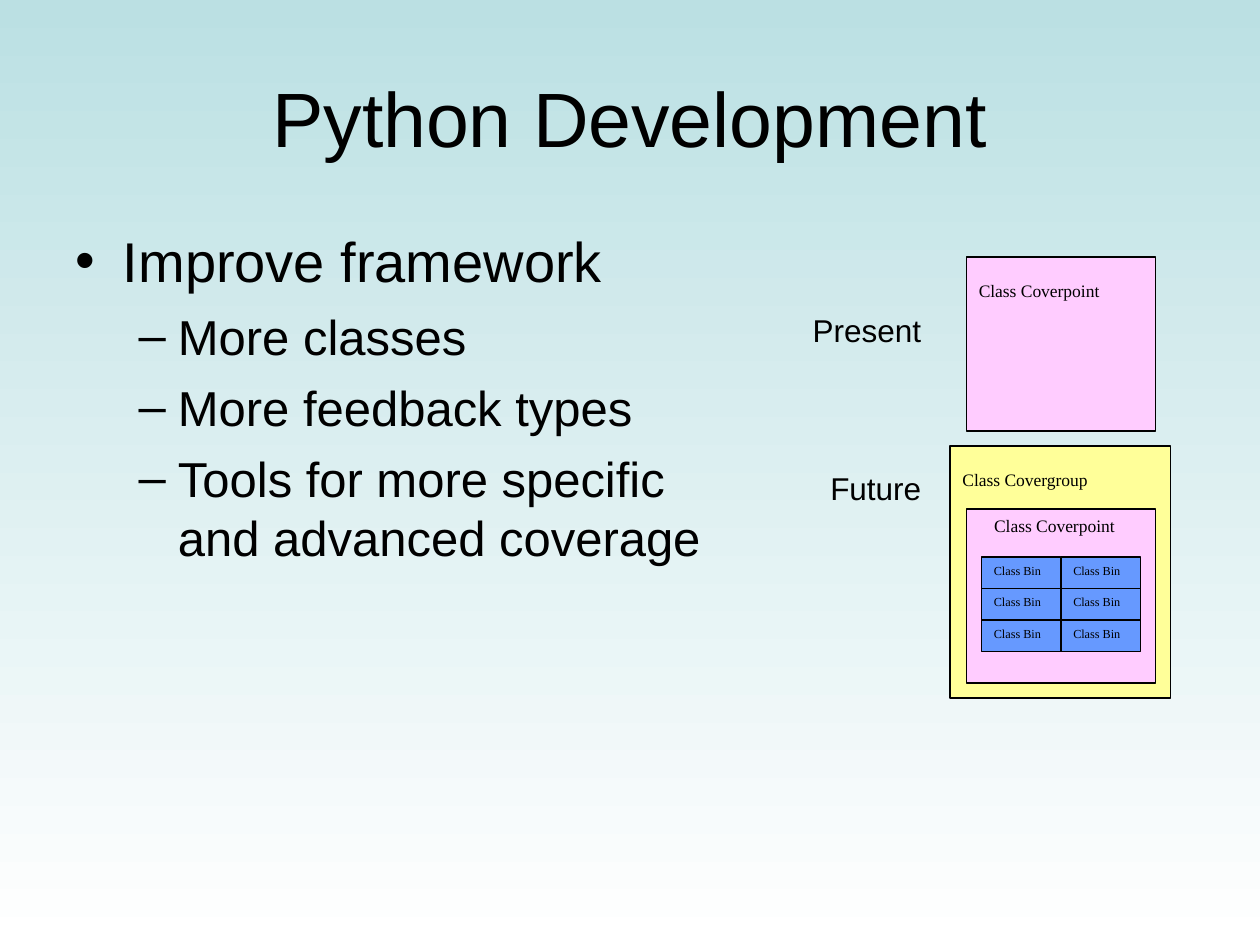
import pptx
import pptx.util
import pptx.dml.color
import pptx.enum.shapes
import pptx.enum.text
from dataclasses import dataclass

Inches, Pt = pptx.util.Inches, pptx.util.Pt
RGB = pptx.dml.color.RGBColor.from_string
ALIGN = pptx.enum.text.PP_ALIGN
ANCHOR = pptx.enum.text.MSO_ANCHOR


@dataclass(frozen=True)
class Theme:
    sky: str = "BBE0E3"
    white: str = "FFFFFF"
    ink: str = "000000"
    group: str = "FFFF99"
    point: str = "FFCCFF"
    bin: str = "6699FF"
    sans: str = "Arial"
    serif: str = "Times New Roman"
    title: float = 44
    levels: tuple = (32, 28)
    label: float = 18
    class_name: float = 10
    bin_name: float = 7
    border: float = 0.75


T = Theme()


def set_attrs(obj, values):
    for name, value in values.items():
        setattr(obj, name, value)


def style(p, size, font, **fmt):
    set_attrs(p, fmt)
    set_attrs(p.font, {"size": Pt(size), "name": font})
    p.font.color.rgb = RGB(T.ink)


def place(sp, left, top, width, height):
    set_attrs(sp, {"left": Inches(left), "top": Inches(top),
                   "width": Inches(width), "height": Inches(height)})


def set_background(s):
    fill = s.background.fill
    fill.gradient()
    fill.gradient_angle = 270
    for stop, color in zip(fill.gradient_stops, (T.sky, T.white)):
        stop.color.rgb = RGB(color)


def fill_title(s, text):
    sp = s.shapes.title
    place(sp, 0.5, 0.3, 9, 1.25)
    sp.text_frame.text = text
    style(sp.text_frame.paragraphs[0], T.title, T.sans, alignment=ALIGN.CENTER)


def fill_body(s, items):
    sp = s.placeholders[1]
    place(sp, 0.5, 1.75, 5.33, 4.95)
    tf = sp.text_frame
    tf.auto_size = pptx.enum.text.MSO_AUTO_SIZE.NONE
    for i, (level, text) in enumerate(items):
        p = tf.paragraphs[0] if i == 0 else tf.add_paragraph()
        p.text = text
        style(p, T.levels[level], T.sans, level=level, space_before=Pt(7 if i else 0))


def add_label(s, text, top):
    sp = s.shapes.add_textbox(Inches(5.83), Inches(top), Inches(1.58), Inches(0.4))
    tf = sp.text_frame
    tf.word_wrap = True
    tf.text = text
    style(tf.paragraphs[0], T.label, T.sans, alignment=ALIGN.RIGHT)


def add_class_box(parent, text, at, color, size, inset=(0.1, 0.05)):
    """Draw a class as a bordered box with its name at the top left."""
    sp = parent.shapes.add_shape(pptx.enum.shapes.MSO_SHAPE.RECTANGLE,
                                 *(Inches(v) for v in at))
    sp.shadow.inherit = False
    sp.fill.solid()
    sp.fill.fore_color.rgb = RGB(color)
    sp.line.color.rgb = RGB(T.ink)
    sp.line.width = Pt(T.border)
    tf = sp.text_frame
    left, top = inset
    set_attrs(tf, {"margin_left": Inches(left), "margin_top": Inches(top),
                   "word_wrap": True, "vertical_anchor": ANCHOR.TOP})
    tf.text = text
    style(tf.paragraphs[0], size, T.serif, alignment=ALIGN.LEFT)


def add_diagram(s):
    group = s.shapes.add_group_shape()

    # Present: a single class
    add_class_box(group, "Class Coverpoint", (7.67, 2.04, 1.5, 1.38),
                  T.point, T.class_name, (0.1, 0.18))

    # Future: nested classes
    add_class_box(group, "Class Covergroup", (7.54, 3.54, 1.75, 2),
                  T.group, T.class_name, (0.1, 0.18))
    add_class_box(group, "Class Coverpoint", (7.67, 4.04, 1.5, 1.38),
                  T.point, T.class_name, (0.22, 0.05))

    # Grid of bins
    width, height = 0.63, 0.25
    for col in range(2):
        for row in range(3):
            at = (7.79 + col * width, 4.42 + row * height, width, height)
            add_class_box(group, "Class Bin", at, T.bin, T.bin_name)


def main():
    prs = pptx.Presentation()
    set_attrs(prs, {"slide_width": Inches(10), "slide_height": Inches(7.5)})
    s = prs.slides.add_slide(prs.slide_layouts[1])
    set_background(s)

    # Title and list
    fill_title(s, "Python Development")
    fill_body(s, [
        (0, "Improve framework"),
        (1, "More classes"),
        (1, "More feedback types"),
        (1, "Tools for more specific and advanced coverage"),
    ])

    # Class diagram and its labels
    add_diagram(s)
    for text, top in (("Present", 2.42), ("Future", 3.67)):
        add_label(s, text, top)

    prs.save("out.pptx")


if __name__ == "__main__":
    main()
